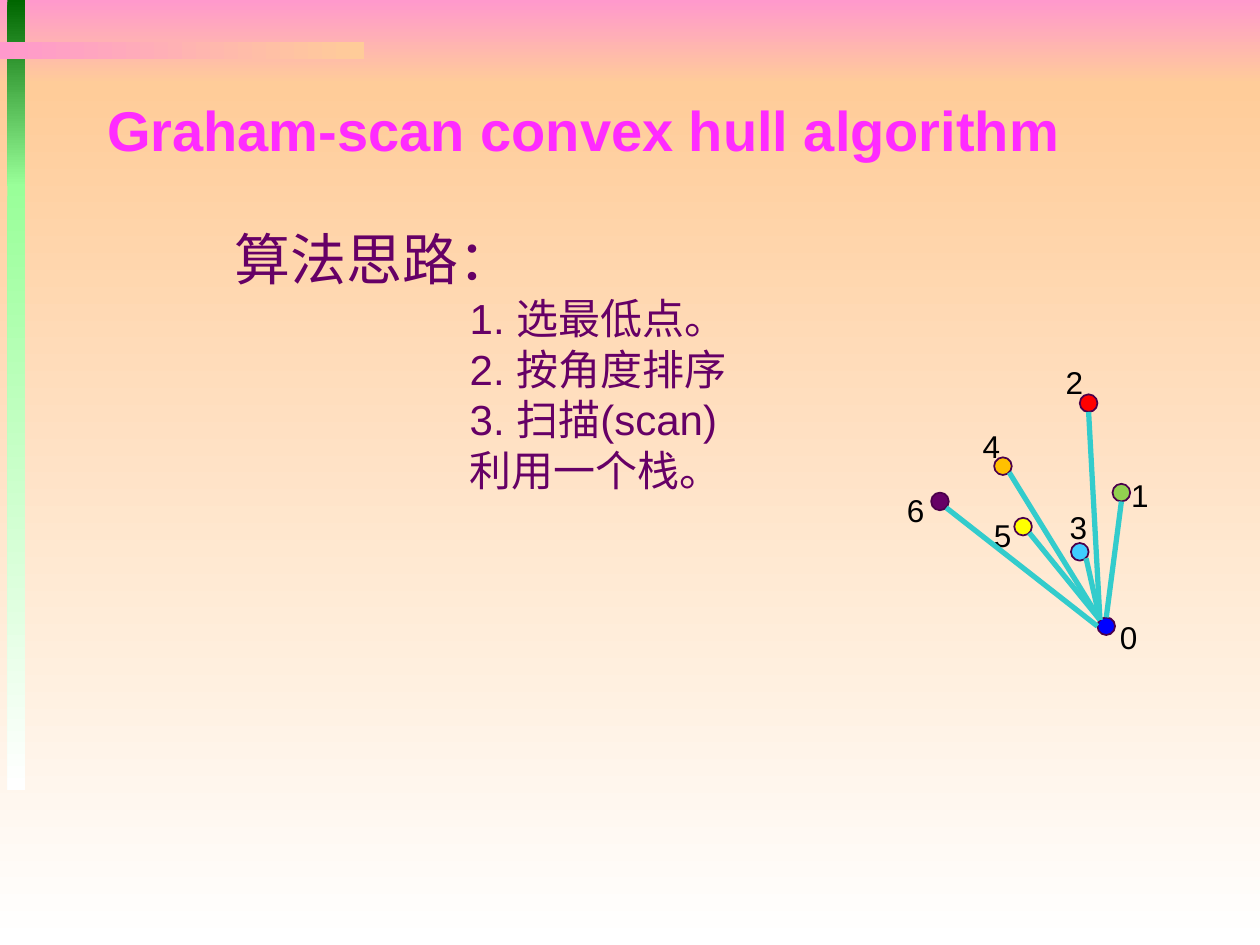
from collections import namedtuple

from pptx import Presentation
from pptx.dml.color import RGBColor
from pptx.enum.shapes import MSO_CONNECTOR, MSO_SHAPE
from pptx.enum.text import MSO_ANCHOR, PP_ALIGN
from pptx.oxml.ns import qn
from pptx.util import Inches, Pt

PINK = RGBColor(0xFF, 0x99, 0xCC)
PEACH = RGBColor(0xFF, 0xCC, 0x99)
WHITE = RGBColor(0xFF, 0xFF, 0xFF)
DARK_GREEN = RGBColor(0x00, 0x66, 0x00)
LIGHT_GREEN = RGBColor(0x99, 0xFF, 0x99)
MAGENTA = RGBColor(0xFF, 0x2B, 0xFF)
PURPLE = RGBColor(0x66, 0x00, 0x66)
OUTLINE = RGBColor(0x4B, 0x00, 0x4B)
TEAL = RGBColor(0x33, 0xCC, 0xCC)
BLACK = RGBColor(0x00, 0x00, 0x00)
BLUE = RGBColor(0x00, 0x00, 0xFF)
GREEN = RGBColor(0x92, 0xD0, 0x50)
RED = RGBColor(0xFF, 0x00, 0x00)
SKY = RGBColor(0x3F, 0xCD, 0xFF)
ORANGE = RGBColor(0xFF, 0xC0, 0x00)
YELLOW = RGBColor(0xFF, 0xFF, 0x00)

# The slide is a grid of 100 columns by 75 rows of square cells.
COLUMNS, ROWS = 100, 75
CELL = Inches(10) // COLUMNS
RADIUS = 0.7

Box = namedtuple("Box", "left top width height")
HullPoint = namedtuple("HullPoint", "name center label color start_site end_site")

# Offsets from the centre of a point to the places where lines meet it.
LEFT, TOP, BOTTOM = (-RADIUS, 0), (0, -RADIUS), (0, RADIUS)
TOP_LEFT, BOTTOM_RIGHT = (-0.5, -0.5), (0.5, 0.5)

# Centres and label corners are in cells from the corner of the diagram.
LOWEST = HullPoint("0", (16.8, 21.4), (16.9, 20.3), BLUE, None, None)
OTHERS = [
    HullPoint("1", (18, 10.8), (17.8, 9), GREEN, TOP, BOTTOM),
    HullPoint("2", (15.4, 3.7), (12.6, 0), RED, TOP_LEFT, BOTTOM),
    HullPoint("3", (14.7, 15.5), (12.9, 11.5), SKY, TOP_LEFT, BOTTOM_RIGHT),
    HullPoint("4", (8.6, 8.7), (6, 5.1), ORANGE, TOP_LEFT, BOTTOM_RIGHT),
    HullPoint("5", (10.2, 13.5), (6.9, 12.2), YELLOW, TOP_LEFT, BOTTOM_RIGHT),
    HullPoint("6", (3.6, 11.5), (0, 10.2), PURPLE, LEFT, BOTTOM_RIGHT),
]


def cells(*values):
    return [round(value * CELL) for value in values]


def add_text(text_frame, text, size=18, color=BLACK, bold=False, indent=0,
             line_height=None, first=True):
    """Write one paragraph; indent is in cells, line_height in points."""
    text_frame.word_wrap = True
    text_frame.vertical_anchor = MSO_ANCHOR.TOP
    paragraph = text_frame.paragraphs[0] if first else text_frame.add_paragraph()
    paragraph.alignment = PP_ALIGN.LEFT
    paragraph.space_before = Pt(0)
    if line_height:
        paragraph.line_spacing = Pt(line_height)
    if indent:
        paragraph._p.get_or_add_pPr().set("marL", str(round(indent * CELL)))
    run = paragraph.add_run()
    run.text = text
    font = run.font
    font.name, font.size, font.bold = "Arial", Pt(size), bold
    font.color.rgb = color


def add_band(slide, box, first_color, last_color, angle=270):
    band = slide.shapes.add_shape(MSO_SHAPE.RECTANGLE, *cells(*box))
    band.shadow.inherit = False
    band.line.fill.background()
    band.fill.gradient()
    band.fill.gradient_angle = angle
    for stop, color in zip(band.fill.gradient_stops, (first_color, last_color)):
        stop.color.rgb = color


def add_backdrop(slide, box):
    left, top, width, height = box
    sky = 6.7
    add_band(slide, Box(left, top, width, sky), PINK, PEACH)
    add_band(slide, Box(left, top + sky, width, height - sky), PEACH, WHITE)
    add_band(slide, Box(left + 0.6, top, 1.4, 14.8), DARK_GREEN, LIGHT_GREEN)
    add_band(slide, Box(left + 0.6, top + 14.6, 1.4, 48.1), LIGHT_GREEN, WHITE)
    add_band(slide, Box(left, top + 3.3, 28.9, 1.4), PINK, PEACH, angle=0)


def add_title(slide, box):
    title = slide.shapes.title
    title.left, title.top, title.width, title.height = cells(*box)
    add_text(title.text_frame, "Graham-scan convex hull algorithm",
             size=32, color=MAGENTA, bold=True)
    slide.shapes._spTree.append(title._element)  # in front of the backdrop


def add_steps(slide, box):
    text_frame = slide.shapes.add_textbox(*cells(*box)).text_frame
    add_text(text_frame, "算法思路：", size=32, color=PURPLE, line_height=38)
    for step in ("1. 选最低点。", "2. 按角度排序", "3. 扫描(scan)", "利用一个栈。"):
        add_text(text_frame, step, size=24, color=PURPLE, indent=18.7,
                 line_height=29, first=False)


def add_point(slide, box, point):
    x, y = box.left + point.center[0], box.top + point.center[1]
    dot = slide.shapes.add_shape(
        MSO_SHAPE.OVAL, *cells(x - RADIUS, y - RADIUS, 2 * RADIUS, 2 * RADIUS))
    dot.shadow.inherit = False
    dot.fill.solid()
    dot.fill.fore_color.rgb = point.color
    dot.line.color.rgb = OUTLINE
    dot.line.width = Pt(1)


def add_label(slide, box, point):
    x, y = point.label
    label = slide.shapes.add_textbox(*cells(box.left + x, box.top + y, 6, 4))
    add_text(label.text_frame, point.name)


def add_ray(slide, box, point):
    """Join the lowest point to another point."""
    ends = [(LOWEST.center, point.start_site), (point.center, point.end_site)]
    places = [corner + center + offset
              for spot, site in ends
              for corner, center, offset in zip(box[:2], spot, site)]
    ray = slide.shapes.add_connector(MSO_CONNECTOR.STRAIGHT, *cells(*places))
    ray.line.color.rgb = TEAL
    ray.line.width = Pt(3)
    properties = ray._element.spPr
    properties.append(properties.makeelement(qn("a:effectLst"), {}))


def add_hull_diagram(slide, box):
    for point in [LOWEST, *OTHERS]:
        add_point(slide, box, point)
    for point in [LOWEST, *OTHERS]:
        add_label(slide, box, point)
    for point in OTHERS:
        add_ray(slide, box, point)


def main():
    presentation = Presentation()
    presentation.slide_width, presentation.slide_height = cells(COLUMNS, ROWS)
    slide = presentation.slides.add_slide(presentation.slide_layouts[5])
    add_backdrop(slide, Box(0, 0, COLUMNS, ROWS))
    add_title(slide, Box(7.5, 7.1, 85, 6.5))
    add_steps(slide, Box(17.6, 17.4, 50, 22.5))
    add_hull_diagram(slide, Box(71, 28.3, 23, 24.3))
    presentation.save("out.pptx")


if __name__ == "__main__":
    main()
